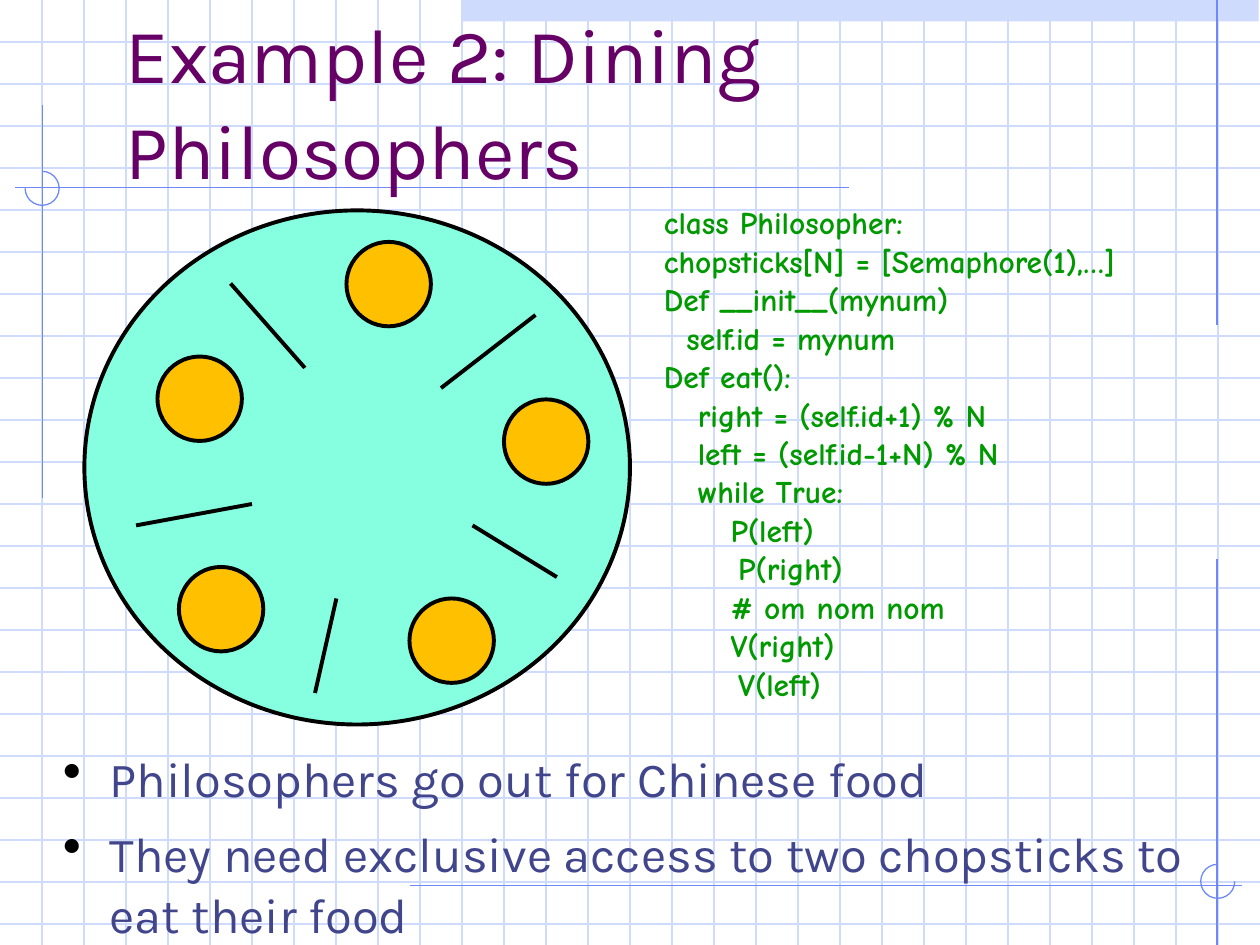
from typing import NamedTuple

from lxml import etree
from pptx import Presentation
from pptx import util as u
from pptx.dml.color import RGBColor
from pptx.enum import shapes, text
from pptx.oxml.ns import qn

PALE = RGBColor(0xCF, 0xDB, 0xFD)
BLUE = RGBColor(0x6F, 0x89, 0xF7)
PLUM = RGBColor(0x66, 0x00, 0x66)
NAVY = RGBColor(0x40, 0x45, 0x8C)
GREEN = RGBColor(0x00, 0x99, 0x00)
MINT = RGBColor(0x85, 0xFF, 0xE0)
GOLD = RGBColor(0xFF, 0xC0, 0x00)
BLACK = RGBColor(0, 0, 0)
FORM = shapes.MSO_SHAPE


class Box(NamedTuple):
    x: float
    y: float
    w: float
    h: float


class Line(NamedTuple):
    x1: float
    y1: float
    x2: float
    y2: float


class Arc(NamedTuple):
    box: Box
    start: int
    end: int


class Code(NamedTuple):
    words: str
    indent: float = 0


class Style(NamedTuple):
    font: str
    size: int
    color: RGBColor
    bold: bool = False


STEP = 1 / 3
GRID = ([Line(0, i * STEP, 10, i * STEP) for i in range(1, 23)]
        + [Line(i * STEP, 0, i * STEP, 7.5) for i in range(1, 30)])
RULES = [
    Line(9.66, 0, 9.66, 2.58), Line(0.34, 0.83, 0.34, 3.95),
    Line(6.74, 1.49, 0.12, 1.49), Line(3.25, 7.03, 9.86, 7.03),
    Line(9.66, 4.44, 9.66, 7.5),
]
ARCS = [Arc(Box(0.2, 1.36, 0.27, 0.27), 270, 180),
        Arc(Box(9.53, 6.86, 0.27, 0.27), 0, 270)]

TABLE = Box(0.67, 1.67, 4.33, 4.08)
DISH = 0.67
PLATES = [(2.75, 1.92), (4, 3.17), (3.25, 4.75), (1.42, 4.5), (1.25, 2.83)]
STICKS = [
    Line(2.5, 5.5, 2.67, 4.75), Line(4.42, 4.58, 3.75, 4.17),
    Line(4.25, 2.5, 3.5, 3.08), Line(2.42, 2.92, 1.83, 2.25),
    Line(2, 4, 1.08, 4.17),
]

CODE = [
    Code("class Philosopher:"),
    Code("chopsticks[N] = [Semaphore(1),…]"),
    Code("Def __init__(mynum)"),
    Code("self.id = mynum", 0.18),
    Code("Def eat():"),
    Code("right = (self.id+1) % N", 0.27),
    Code("left = (self.id-1+N) % N", 0.27),
    Code("while True:", 0.27),
    Code("P(left)", 0.53),
    Code("P(right)", 0.59),
    Code("# om nom nom", 0.53),
    Code("V(right)", 0.53),
    Code("V(left)", 0.59),
]
POINTS = ["Philosophers go out for Chinese food",
          "They need exclusive access to two chopsticks to eat their food"]


def draw_line(slide, line: Line, color: RGBColor, width: float):
    ends = [u.Inches(v) for v in line]
    item = slide.shapes.add_connector(shapes.MSO_CONNECTOR.STRAIGHT, *ends)
    item.line.color.rgb = color
    item.line.width = u.Pt(width)
    etree.SubElement(item._element.spPr, qn("a:effectLst"))


def draw_shape(slide, form, box: Box, fill=None, edge=None, width: float = 2.25):
    item = slide.shapes.add_shape(form, *[u.Inches(v) for v in box])
    item.shadow.inherit = False
    if fill is None:
        item.fill.background()
    else:
        item.fill.solid()
        item.fill.fore_color.rgb = fill
    if edge is None:
        item.line.fill.background()
    else:
        item.line.color.rgb = edge
        item.line.width = u.Pt(width)
    return item


def draw_arc(slide, arc: Arc):
    item = draw_shape(slide, FORM.ARC, arc.box, edge=BLUE, width=0.75)
    # Arc angles are stored in 60000ths of a degree
    for i, angle in enumerate((arc.start, arc.end)):
        item.adjustments[i] = angle * 0.6


def add_text(slide, box: Box, lines: list[str], style: Style, space: float,
             inset: tuple[float, float] = (0, 0)):
    frame = slide.shapes.add_textbox(*[u.Inches(v) for v in box]).text_frame
    frame.word_wrap = True
    frame.margin_left = frame.margin_right = u.Inches(inset[0])
    frame.margin_top = frame.margin_bottom = u.Inches(inset[1])
    frame.text = "\n".join(lines)
    for para in frame.paragraphs:
        para.line_spacing = space
        para.font.name = style.font
        para.font.size = u.Pt(style.size)
        para.font.color.rgb = style.color
        para.font.bold = style.bold
    return frame


def add_bullet(para):
    props = para._p.get_or_add_pPr()
    props.set("marL", str(u.Inches(0.37)))
    props.set("indent", str(u.Inches(-0.37)))
    para.space_before = u.Pt(8)
    mark = etree.Element(qn("a:buClr"))
    etree.SubElement(mark, qn("a:srgbClr"), val=str(BLACK))
    size = etree.Element(qn("a:buSzPct"), val="110000")
    char = etree.Element(qn("a:buChar"), char="•")
    spot = list(props).index(props.find(qn("a:spcBef"))) + 1
    props[spot:spot] = [mark, size, char]


def set_code(para, indent: float):
    props = para._p.get_or_add_pPr()
    props.set("marL", str(u.Inches(indent)))
    # Space before is half a line
    gap = etree.Element(qn("a:spcBef"))
    etree.SubElement(gap, qn("a:spcPct"), val="50000")
    props.find(qn("a:lnSpc")).addnext(gap)


def main():
    deck = Presentation()
    deck.slide_width, deck.slide_height = u.Inches(10), u.Inches(7.5)
    slide = deck.slides.add_slide(deck.slide_layouts[6])

    # Squared paper with its ruled corners
    draw_shape(slide, FORM.RECTANGLE, Box(3.66, 0, 6.33, 0.17), PALE)
    for line in GRID:
        draw_line(slide, line, PALE, 0.75)
    for line in RULES:
        draw_line(slide, line, BLUE, 0.75)
    for arc in ARCS:
        draw_arc(slide, arc)

    # Title and bullet points
    title = add_text(slide, Box(1, 0, 8.5, 1.57),
                     ["Example 2: Dining Philosophers"],
                     Style("Karla", 44, PLUM), 1.04)
    title.vertical_anchor = text.MSO_ANCHOR.MIDDLE
    body = add_text(slide, Box(0.5, 5.92, 9, 0.78), POINTS,
                    Style("Karla", 28, NAVY), 1.04)
    for para in body.paragraphs:
        add_bullet(para)

    # Code listing
    code = add_text(slide, Box(5.17, 1.67, 4.5, 4.61),
                    [row.words for row in CODE],
                    Style("Comic Neue", 18, GREEN, True), 0.6, (0.1, 0.05))
    for para, row in zip(code.paragraphs, CODE):
        set_code(para, row.indent)

    # Dining table with plates and chopsticks
    draw_shape(slide, FORM.OVAL, TABLE, MINT, BLACK)
    for x, y in PLATES:
        draw_shape(slide, FORM.OVAL, Box(x, y, DISH, DISH), GOLD, BLACK)
    for stick in STICKS:
        draw_line(slide, stick, BLACK, 2.25)

    deck.save("out.pptx")


if __name__ == "__main__":
    main()
